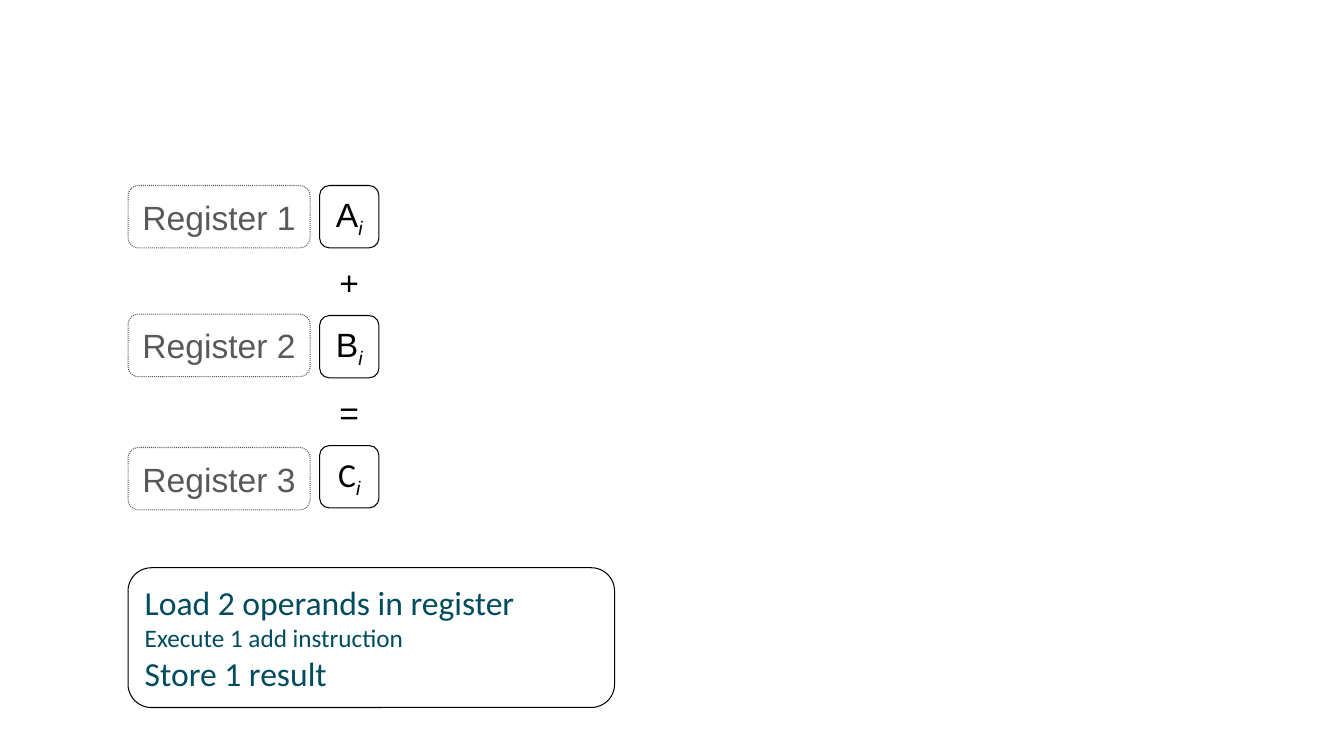
from dataclasses import dataclass

from pptx import Presentation
from pptx.dml.color import RGBColor
from pptx.enum.dml import MSO_LINE_DASH_STYLE as Dash
from pptx.enum.shapes import MSO_SHAPE as Preset
from pptx.enum.text import MSO_ANCHOR as Anchor, PP_ALIGN as Align
from pptx.util import Inches, Pt

# Grid: registers in column 0, operands in column 1
LEFT, TOP = 1.27, 1.84
COLUMN, ROW = 1.9, 0.645
BLACK, GREY, TEAL = "000000", "595959", "004C5E"


@dataclass(frozen=True)
class Span:
    text: str
    size: int = 24
    font: str = "Arial"
    color: str = BLACK
    subscript: bool = False


@dataclass(frozen=True)
class Box:
    column: float
    row: float
    columns: float
    rows: float
    lines: list[list[Span]]
    outline: str | None = BLACK
    dotted: bool = False
    align: Align = Align.CENTER
    wrap: bool = False


def rgb(color: str) -> RGBColor:
    return RGBColor.from_string(color)


def format_span(run, span: Span) -> None:
    run.font.size = Pt(span.size)
    run.font.name = span.font
    run.font.color.rgb = rgb(span.color)
    if span.subscript:
        run.font.italic = True
        run.font._element.set("baseline", "-25000")


def draw_box(page, box: Box) -> None:
    shape = page.shapes.add_shape(
        Preset.ROUNDED_RECTANGLE,
        Inches(LEFT + box.column * COLUMN), Inches(TOP + box.row * ROW),
        Inches(box.columns * COLUMN), Inches(box.rows * ROW))
    shape.shadow.inherit = False
    shape.fill.background()
    if box.outline:
        shape.line.color.rgb = rgb(box.outline)
        shape.line.width = Pt(0.75)
        if box.dotted:
            shape.line.dash_style = Dash.ROUND_DOT
    else:
        shape.line.fill.background()

    frame = shape.text_frame
    frame.word_wrap = box.wrap
    frame.vertical_anchor = Anchor.MIDDLE
    frame.text = "\n".join(line[0].text for line in box.lines)
    for para, line in zip(frame.paragraphs, box.lines):
        para.alignment = box.align
        for span in line[1:]:
            para.add_run().text = span.text
        for run, span in zip(para.runs, line):
            format_span(run, span)


def operand(row: int, letter: str, font: str = "Arial") -> Box:
    spans = [Span(letter, font=font), Span("i", subscript=True)]
    return Box(1, row, 0.31, 0.96, [spans])


def operator(row: int, sign: str) -> Box:
    return Box(1, row, 0.31, 0.96, [[Span(sign)]], outline=None)


def register(row: float, number: int) -> Box:
    label = Span(f"Register {number}", color=GREY)
    return Box(0, row, 0.95, 0.96, [[label]], outline=GREY, dotted=True)


def step(text: str, size: int = 24) -> list[Span]:
    return [Span(text, size, "Calibri", TEAL)]


def main() -> None:
    deck = Presentation()
    deck.slide_width, deck.slide_height = Inches(13.33), Inches(7.5)
    page = deck.slides.add_slide(deck.slide_layouts[6])

    summary = Box(0, 5.88, 2.54, 2.15,
                  [step("Load 2 operands in register"),
                   step("Execute 1 add instruction", 18),
                   step("Store 1 result")],
                  align=Align.LEFT, wrap=True)
    boxes = [
        # The addition, top to bottom
        operand(0, "A"), operator(1, "+"), operand(2, "B"),
        operator(3, "="), operand(4, "C", "Calibri"),
        # What one addition costs
        summary,
        # Register labels
        register(0, 1), register(1.98, 2), register(4.03, 3),
    ]
    for box in boxes:
        draw_box(page, box)

    deck.save("out.pptx")


if __name__ == "__main__":
    main()
